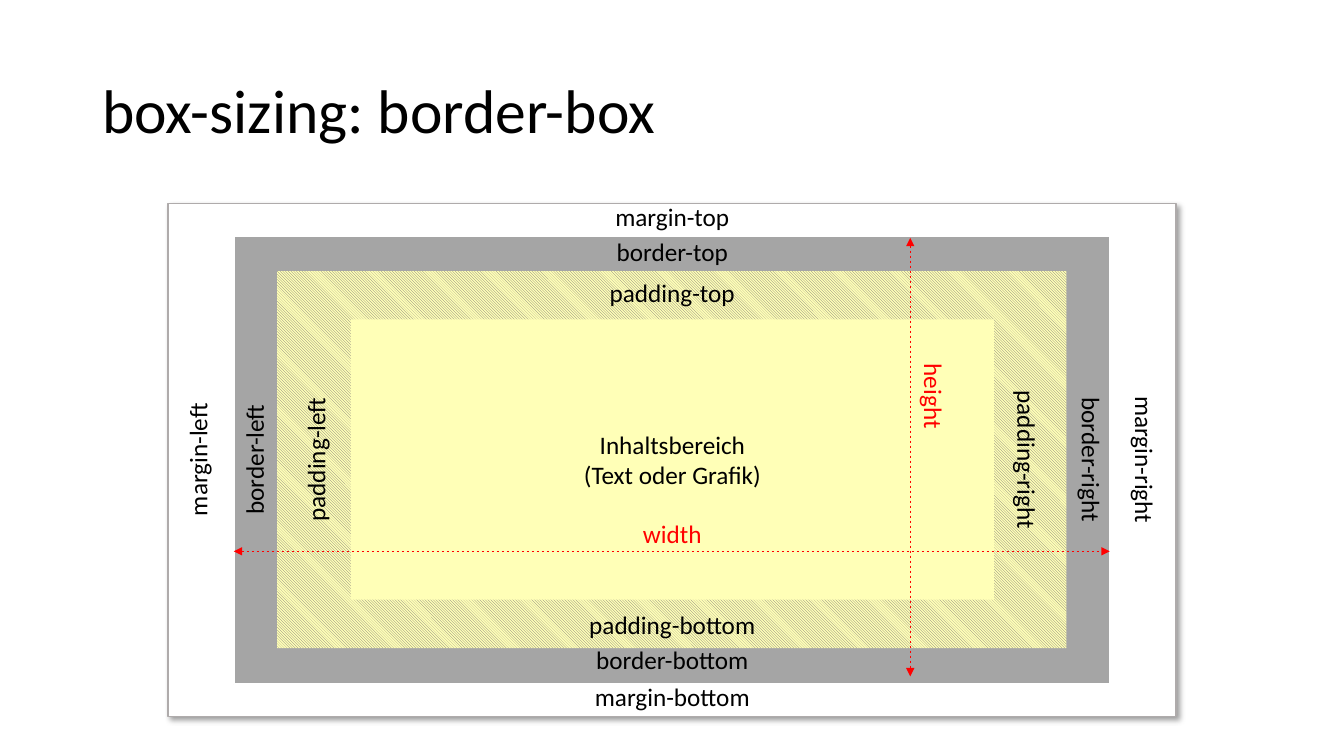
from lxml.etree import SubElement
from pptx import Presentation
from pptx.dml.color import RGBColor
from pptx.enum.dml import MSO_LINE, MSO_PATTERN
from pptx.enum.shapes import MSO_CONNECTOR, MSO_SHAPE
from pptx.enum.text import MSO_ANCHOR as ANCHOR, PP_ALIGN as ALIGN
from pptx.oxml import parse_xml
from pptx.oxml.ns import nsdecls, qn
from pptx.util import Pt

BLACK, RED, WHITE, YELLOW = "000000", "FF0000", "FFFFFF", "FFFFB7"


def rgb(code):
    return RGBColor.from_string(code)


def write(shape, lines, size=18, color=BLACK, align=ALIGN.CENTER, anchor=ANCHOR.TOP):
    frame = shape.text_frame
    frame.word_wrap = True
    frame.vertical_anchor = anchor
    for i, line in enumerate(lines):
        paragraph = frame.add_paragraph() if i else frame.paragraphs[0]
        paragraph.alignment = align
        run = paragraph.add_run()
        run.text = line
        run.font.name = "Calibri"
        run.font.size = Pt(size)
        run.font.color.rgb = rgb(color)


deck = Presentation()
deck.slide_width, deck.slide_height = Pt(960), Pt(540)
slide = deck.slides.add_slide(deck.slide_layouts[6])
shapes = slide.shapes

# Title
title = shapes.add_textbox(Pt(66), Pt(28.8), Pt(828), Pt(104.4))
write(title, ["box-sizing: border-box"], 44, align=ALIGN.LEFT, anchor=ANCHOR.MIDDLE)
title.text_frame.paragraphs[0].line_spacing = 0.9

# Nested areas of the box model: bounds, fill, outline colour and width
areas = []
for bounds, fill, outline, weight in [
    ((120, 145.4, 720, 366.5), WHITE, "AFABAB", 1),
    ((167, 168.5, 625.7, 320.4), "A5A5A5", WHITE, 1.5),
    ((198, 193.7, 563.8, 269.3), YELLOW, None, 0),
    ((250.6, 228.2, 459.4, 200.2), YELLOW, None, 0),
]:
    area = shapes.add_shape(MSO_SHAPE.RECTANGLE, *map(Pt, bounds))
    area.shadow.inherit = False
    area.fill.solid()
    area.fill.fore_color.rgb = rgb(fill)
    if outline:
        area.line.color.rgb = rgb(outline)
        area.line.width = Pt(weight)
    else:
        area.line.fill.background()
    areas.append(area)
margin_area, border_area, padding_area, content_area = areas

# Hatching of the padding
padding_area.fill.patterned()
padding_area.fill.pattern = MSO_PATTERN.LIGHT_DOWNWARD_DIAGONAL
padding_area.fill.fore_color.rgb = rgb("767171")
padding_area.fill.back_color.rgb = rgb(YELLOW)

# Drop shadow of the margin: 4 pt blur, 3 pt away at 45 degrees
effects = margin_area._element.spPr.find(qn("a:effectLst"))
effects.append(parse_xml(
    f'<a:outerShdw {nsdecls("a")} blurRad="{Pt(4)}" dist="{Pt(3)}" dir="2700000" '
    'algn="tl" rotWithShape="0"><a:srgbClr val="000000"><a:alpha val="40000"/>'
    '</a:srgbClr></a:outerShdw>'))

write(content_area, ["Inhaltsbereich", "(Text oder Grafik)"], anchor=ANCHOR.MIDDLE)

# Arrows spanning the border box
for name, ends in [("height", (650.2, 169.9, 650.2, 483.1)),
                   ("width", (167, 393.8, 792.7, 393.8))]:
    arrow = shapes.add_connector(MSO_CONNECTOR.STRAIGHT, *map(Pt, ends))
    arrow.line.color.rgb = rgb(RED)
    arrow.line.width = Pt(0.5)
    arrow.line.dash_style = MSO_LINE.DASH
    for end in ("a:headEnd", "a:tailEnd"):
        SubElement(arrow.line._get_or_add_ln(), qn(end), type="triangle")
    SubElement(arrow._element.spPr, qn("a:effectLst"))

# Labels: text, centre, rotation, colour
middle_x, middle_y = 480.2, 328.3
labels = [("width", middle_x, 380.9, 0, RED), ("height", 667.1, 283, 90, RED)]
for layer, top, bottom, left, right in [
    ("margin", 154.8, 497.5, 141.1, 817.9),
    ("border", 180, 470.9, 181.4, 779.8),
    ("padding", 208.8, 446.4, 225.4, 733.7),
]:
    labels += [
        (f"{layer}-top", middle_x, top, 0, BLACK),
        (f"{layer}-bottom", middle_x, bottom, 0, BLACK),
        (f"{layer}-left", left, middle_y, 270, BLACK),
        (f"{layer}-right", right, middle_y, 90, BLACK),
    ]
label_width, label_height = 152.6, 29
for text, x, y, rotation, color in labels:
    label = shapes.add_textbox(Pt(x - label_width / 2), Pt(y - label_height / 2),
                               Pt(label_width), Pt(label_height))
    label.rotation = rotation
    write(label, [text], color=color)

deck.save("out.pptx")
